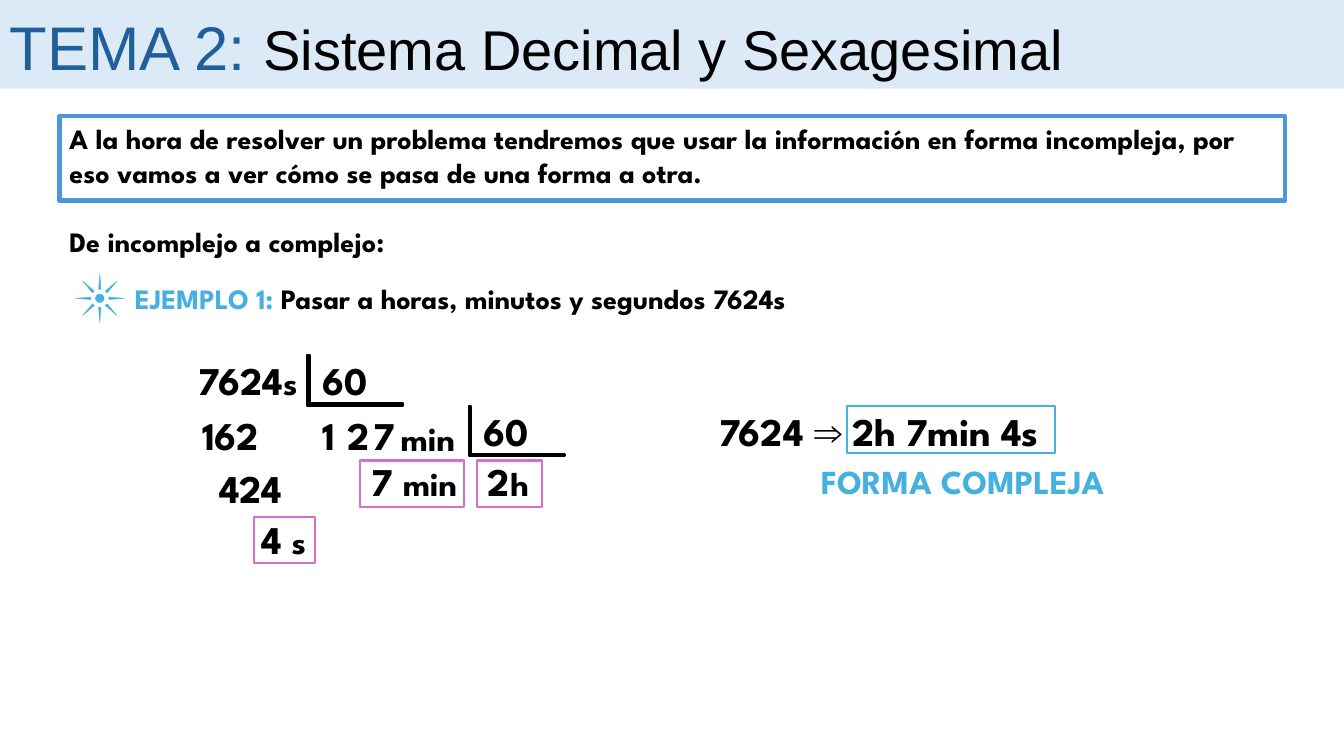
from pptx import Presentation
from pptx.dml.color import RGBColor
from pptx.enum.shapes import MSO_SHAPE
from pptx.enum.text import MSO_AUTO_SIZE, PP_ALIGN
from pptx.util import Pt

BLACK, SKY, NAVY = "000000", "46B1E1", "215F9A"
PALE, BLUE, PINK = "DCEAF7", "4E95D9", "D86ECC"
BODY, TITLE, SYMBOL = "League Spartan", "Arial", "Times New Roman"
LEFT, CENTER, RIGHT = PP_ALIGN.LEFT, PP_ALIGN.CENTER, PP_ALIGN.RIGHT

TITLE_RUNS = [("TEMA 2: ", 44, NAVY, TITLE), ("Sistema Decimal y Sexagesimal", 40, BLACK, TITLE)]
STATEMENT = (
    "A la hora de resolver un problema tendremos que usar la información en forma incompleja, "
    "por eso vamos a ver cómo se pasa de una forma a otra."
)
PARAGRAPHS = [
    (42.5, 157, 301.7, LEFT, [("De incomplejo a complejo:", 20, BLACK, BODY)]),
    (89.3, 197.5, 581.8, LEFT, [
        ("EJEMPLO 1: ", 20, SKY, BODY),
        ("Pasar a horas, minutos y segundos 7624s", 20, BLACK, BODY),
    ]),
    (42.5, 83.5, 875.5, LEFT, [(STATEMENT, 20, BLACK, BODY)]),
    (473.8, 287.3, 308.2, CENTER, [
        ("7624 ", 28, BLACK, BODY),
        ("⇒ ", 28, BLACK, SYMBOL),
        ("2h 7min 4s", 28, BLACK, BODY),
    ]),
    (554.4, 325.4, 266.4, CENTER, [("FORMA COMPLEJA", 24, SKY, BODY)]),
]
DIVIDEND = [("7624", 28, BLACK, BODY), ("s", 24, BLACK, BODY)]
DIVISORS = [("60", 220.3, 251.3), ("60", 335.5, 287.3)]
REMAINDERS = [("162", 129.6, 290.2), ("424", 146.2, 328.3), ("4", 146.2, 364.3)]
QUOTIENT, QUOTIENT_LEFT, QUOTIENT_TOP, DIGIT_STEP = "127", 222.5, 290.2, 18.7
RESULT_DIGITS = [("7", 258.5, 323.3), ("2", 341.3, 323.3)]
UNITS = [("min", 271.4, 295.2), ("s", 179.3, 368.6), ("min", 272.9, 326.9), ("h", 337, 326.9)]
FRAMES = [
    (181.4, 369.4, 43.9, 33.1, PINK, 1.5),
    (257, 329, 74.2, 33.1, PINK, 1.5),
    (340.6, 329, 46.8, 33.1, PINK, 1.5),
    (604.8, 290.2, 149, 33.1, SKY, 1.5),
    (42.5, 82.8, 875.5, 60.5, BLUE, 3),
]
DIGIT_WIDTH, DIVISOR_WIDTH, REMAINDER_WIDTH, UNIT_WIDTH = 24.5, 51.8, 62.6, 68.4


def color(value):
    """Turn a hex string into a colour."""
    return RGBColor.from_string(value)


def add_figure(shapes, kind, box, fill=None, line=None, weight=0):
    """Draw a preset shape with an optional fill and outline."""
    shape = shapes.add_shape(kind, *map(Pt, box))
    shape.shadow.inherit = False
    if fill:
        shape.fill.solid()
        shape.fill.fore_color.rgb = color(fill)
    else:
        shape.fill.background()
    if line:
        shape.line.color.rgb = color(line)
        shape.line.width = Pt(weight)
    else:
        shape.line.fill.background()
    return shape


def add_text(shapes, left, top, width, align, runs):
    """Write one paragraph of runs, each with its size, colour and font."""
    height = max(size for _, size, _, _ in runs) * 1.2 + 7.2
    text_frame = shapes.add_textbox(*map(Pt, (left, top, width, height))).text_frame
    text_frame.word_wrap = True
    text_frame.auto_size = MSO_AUTO_SIZE.SHAPE_TO_FIT_TEXT
    paragraph = text_frame.paragraphs[0]
    paragraph.alignment = align
    for words, size, shade, font_name in runs:
        run = paragraph.add_run()
        run.text = words
        run.font.size = Pt(size)
        run.font.name = font_name
        run.font.bold = font_name != TITLE
        run.font.color.rgb = color(shade)


def add_number(shapes, words, left, top, width, align=CENTER, size=28):
    """Write one piece of the division."""
    add_text(shapes, left, top, width, align, [(words, size, BLACK, BODY)])


def add_division(shapes):
    """Lay out the chained division by sixty."""
    add_text(shapes, 115.9, 251.3, 103.7, RIGHT, DIVIDEND)
    for words, left, top in DIVISORS:
        group = shapes.add_group_shape()
        corner_box = (left - 0.7, top + 2.5, 68.4, 36)
        corner = add_figure(group.shapes, MSO_SHAPE.CORNER, corner_box, BLACK, BLACK, 1.5)
        corner.adjustments[0] = corner.adjustments[1] = 0.05
        add_number(group.shapes, words, left, top, DIVISOR_WIDTH)
    for words, left, top in REMAINDERS:
        add_number(shapes, words, left, top, REMAINDER_WIDTH, RIGHT)
    for index, digit in enumerate(QUOTIENT):
        add_number(shapes, digit, QUOTIENT_LEFT + index * DIGIT_STEP, QUOTIENT_TOP, DIGIT_WIDTH)
    for words, left, top in RESULT_DIGITS:
        add_number(shapes, words, left, top, DIGIT_WIDTH)
    for words, left, top in UNITS:
        add_number(shapes, words, left, top, UNIT_WIDTH, size=24)


def main():
    """Build the slide and save it."""
    presentation = Presentation()
    presentation.slide_width, presentation.slide_height = Pt(960), Pt(540)
    shapes = presentation.slides.add_slide(presentation.slide_layouts[6]).shapes
    add_figure(shapes, MSO_SHAPE.RECTANGLE, (0, 0, 960, 63.4), PALE)
    add_text(shapes, 0, 2.9, 853.2, LEFT, TITLE_RUNS)
    sun = add_figure(shapes, MSO_SHAPE.SUN, (54, 195.8, 34.6, 34.6), SKY, SKY, 0.25)
    sun.adjustments[0] = 0.411
    add_division(shapes)
    for *box, line, weight in FRAMES:
        add_figure(shapes, MSO_SHAPE.RECTANGLE, box, line=line, weight=weight)
    for paragraph in PARAGRAPHS:
        add_text(shapes, *paragraph)
    presentation.save("out.pptx")


if __name__ == "__main__":
    main()
